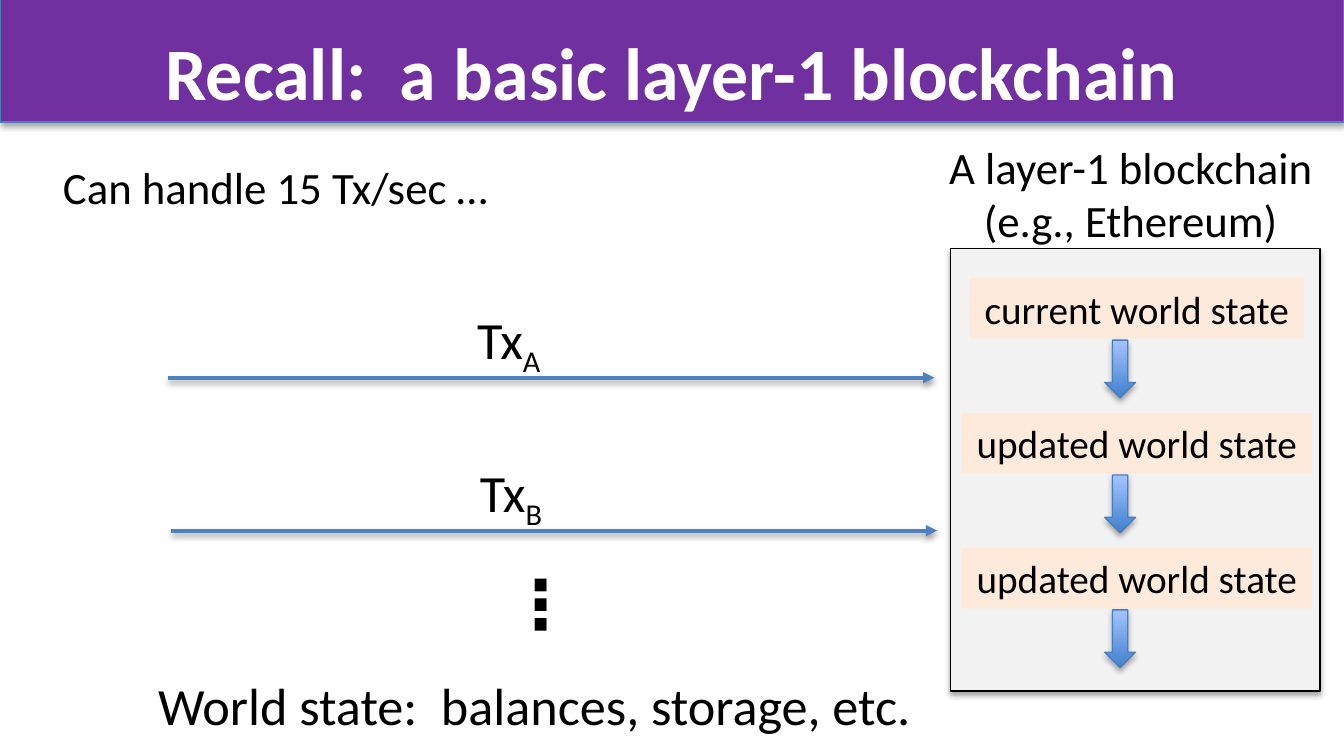
from dataclasses import dataclass

from lxml.etree import SubElement
from pptx import Presentation
from pptx.dml.color import RGBColor
from pptx.enum.shapes import MSO_CONNECTOR as Connector, MSO_SHAPE as Shape
from pptx.enum.text import MSO_ANCHOR as Anchor, PP_ALIGN as Align
from pptx.oxml.ns import qn
from pptx.util import Cm, Pt


@dataclass(frozen=True)
class Theme:
    font: str = "Calibri"
    text: str = "000000"
    title_text: str = "FFFFFF"
    band: str = "7030A0"
    outline: str = "4B7EBC"
    connector: str = "4F81BD"
    panel: str = "F2F2F2"
    state: str = "FDEADA"
    arrow_dark: str = "3F80CE"
    arrow_light: str = "A4C4FF"
    title_size: float = 39.6
    dots_size: float = 36
    large_size: float = 28
    body_size: float = 24
    state_size: float = 21


THEME = Theme()


def color(value):
    return RGBColor.from_string(value)


def lengths(box):
    return [Cm(value) for value in box]


def write_text(shape, text, size=THEME.body_size, ink=THEME.text, bold=False,
               align=Align.LEFT, anchor=Anchor.TOP, subscript=""):
    frame = shape.text_frame
    frame.word_wrap = False
    frame.vertical_anchor = anchor
    frame.text = text
    if subscript:
        run = frame.paragraphs[0].add_run()
        run.text = subscript
        run.font._element.set("baseline", "-25000")
    for paragraph in frame.paragraphs:
        paragraph.alignment = align
        for run in paragraph.runs:
            run.font.name = THEME.font
            run.font.size = Pt(size)
            run.font.bold = bold
            run.font.color.rgb = color(ink)


def add_text(slide, box, text, **text_format):
    shape = slide.shapes.add_textbox(*lengths(box))
    write_text(shape, text, **text_format)
    return shape


def add_shadow(shape, opacity=35):
    effects = SubElement(shape._element.spPr, qn("a:effectLst"))
    shadow = SubElement(effects, qn("a:outerShdw"), blurRad=str(Pt(3.1)),
                        dist=str(Pt(1.8)), dir="5400000", rotWithShape="0")
    ink = SubElement(shadow, qn("a:srgbClr"), val="000000")
    SubElement(ink, qn("a:alpha"), val=str(opacity * 1000))


def add_outlined(slide, kind, box, line):
    shape = slide.shapes.add_shape(kind, *lengths(box))
    shape.line.color.rgb = color(line)
    shape.line.width = Pt(0.75)
    add_shadow(shape)
    return shape


def add_title(slide, box, text):
    left, top, width, height = box
    band = add_outlined(slide, Shape.RECTANGLE, box, THEME.outline)
    band.fill.solid()
    band.fill.fore_color.rgb = color(THEME.band)
    title = slide.shapes.title
    title.left, title.top, title.width, title.height = lengths(
        (left + 1.27, top + 0.39, width - 2.54, 1.73))
    write_text(title, text, size=THEME.title_size, ink=THEME.title_text,
               bold=True, align=Align.CENTER)
    title.element.addprevious(band.element)


def add_down_arrow(slide, box):
    arrow = add_outlined(slide, Shape.DOWN_ARROW, box, THEME.outline)
    arrow.fill.gradient()
    arrow.fill.gradient_angle = 90
    for stop, value in zip(arrow.fill.gradient_stops,
                           (THEME.arrow_dark, THEME.arrow_light)):
        stop.color.rgb = color(value)


def add_chain(slide, box, states):
    left, top, width, height = box
    panel = add_outlined(slide, Shape.RECTANGLE, box, THEME.text)
    panel.fill.solid()
    panel.fill.fore_color.rgb = color(THEME.panel)
    for index, (text, state_width) in enumerate(states):
        state_top = top + 0.56 + index * 2.55
        state_left = left + 0.03 + (width - state_width) / 2
        state = add_text(slide, (state_left, state_top, state_width, 1.14), text,
                         size=THEME.state_size, align=Align.CENTER,
                         anchor=Anchor.MIDDLE)
        state.fill.solid()
        state.fill.fore_color.rgb = color(THEME.state)
        add_down_arrow(slide, (left + 2.92, state_top + 1.17, 0.58, 1.09))


def add_transaction(slide, box, name):
    left, top, width, height = box
    bottom = top + height
    line = slide.shapes.add_connector(
        Connector.STRAIGHT, *lengths((left, bottom, left + width, bottom)))
    line.line.color.rgb = color(THEME.connector)
    line.line.width = Pt(2)
    SubElement(line.line._get_or_add_ln(), qn("a:tailEnd"), type="triangle")
    add_shadow(line, opacity=38)
    add_text(slide, (left + 5.59, top, 1.78, height), "Tx",
             size=THEME.large_size, subscript=name)


def build_slide(presentation):
    slide = presentation.slides.add_slide(presentation.slide_layouts[5])
    add_title(slide, (0, -0.02, 25.4, 2.33), "Recall:  a basic layer-1 blockchain")
    add_text(slide, (17.65, 2.51, 7.44, 2.31),
             "A layer-1 blockchain\n(e.g., Ethereum)", align=Align.CENTER)
    add_chain(slide, (17.96, 4.7, 6.99, 8.36),
              [("current world state", 6.32)] + [("updated world state", 6.63)] * 2)
    add_transaction(slide, (3.18, 5.69, 14.48, 1.45), "A")
    add_transaction(slide, (3.23, 8.58, 14.48, 1.45), "B")
    add_text(slide, (9.35, 10.49, 0.91, 1.8), "⋮", size=THEME.dots_size, bold=True)
    add_text(slide, (2.74, 12.6, 15.11, 1.45),
             "World state:  balances, storage, etc.", size=THEME.large_size)
    add_text(slide, (0.94, 2.9, 8.66, 1.27), "Can handle 15 Tx/sec …")


def main():
    presentation = Presentation()
    presentation.slide_width = Cm(25.4)
    presentation.slide_height = Cm(14.29)
    build_slide(presentation)
    presentation.save("out.pptx")


if __name__ == "__main__":
    main()
